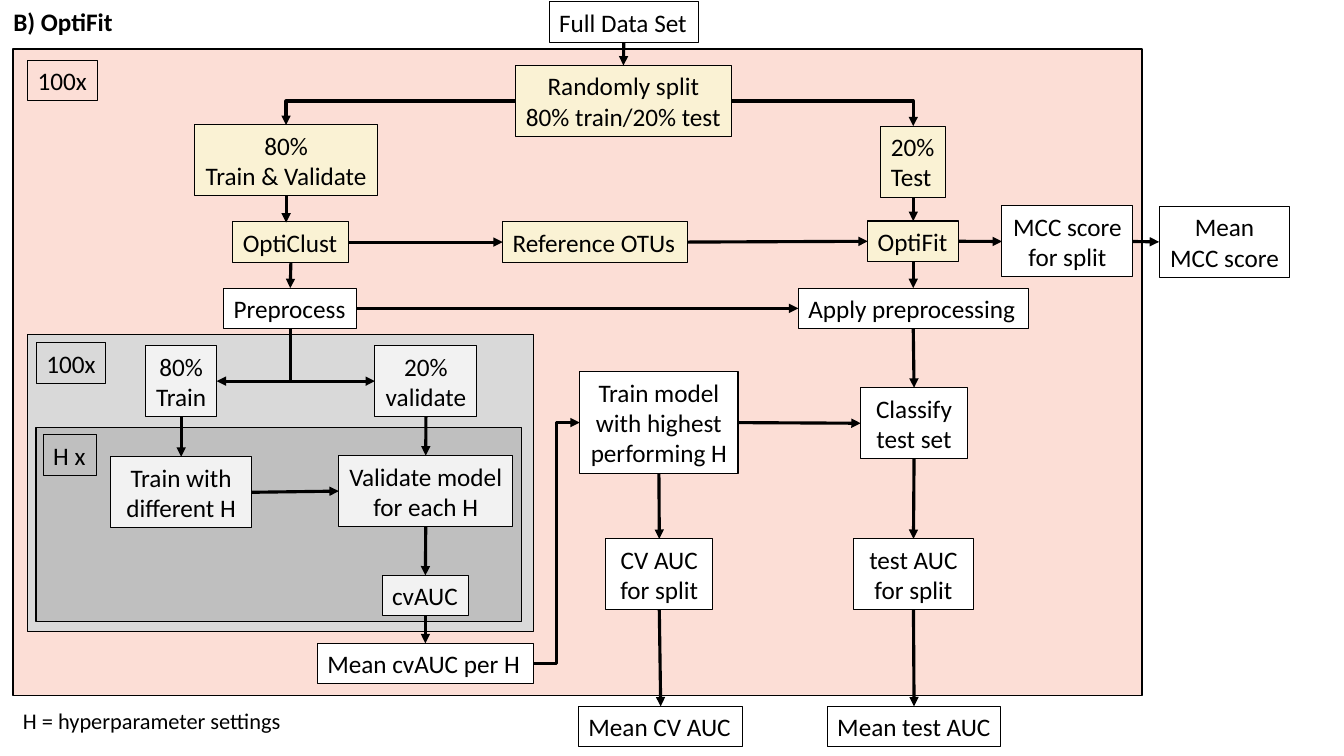
from lxml.etree import SubElement
from pptx import Presentation
from pptx.dml.color import RGBColor
from pptx.enum.shapes import MSO_CONNECTOR as Connector, MSO_SHAPE as Shape
from pptx.enum.text import MSO_ANCHOR as Anchor, MSO_AUTO_SIZE as AutoSize, PP_ALIGN as Align
from pptx.oxml.ns import qn
from pptx.util import Cm, Pt

TOP, LEFT, BOTTOM, RIGHT = range(4)
WHITE, CREAM, PALE = "FFFFFF", "FAF2D4", "F2F2F2"


def color(hex_code):
    return RGBColor.from_string(hex_code)


class FlowChart:
    font_name = "Calibri"
    ink = "000000"
    line_height = 0.77
    padding = 0.25

    def __init__(self, page):
        self.page = page

    def fill_text(self, shape, text, size=18, bold=False, align=Align.LEFT, wrap=False):
        frame = shape.text_frame
        frame.text = text
        frame.word_wrap = wrap
        frame.auto_size = AutoSize.SHAPE_TO_FIT_TEXT
        for para in frame.paragraphs:
            para.alignment = align
            para.font.name = self.font_name
            para.font.size = Pt(size)
            para.font.bold = bold
            para.font.color.rgb = color(self.ink)

    def title(self, text, left, top, width, height):
        title = self.page.shapes.title
        title.left, title.top = Cm(left), Cm(top)
        title.width, title.height = Cm(width), Cm(height)
        self.fill_text(title, text, bold=True)
        title.text_frame.vertical_anchor = Anchor.TOP

    def note(self, text, left, top, width, height):
        note = self.page.shapes.add_textbox(Cm(left), Cm(top), Cm(width), Cm(height))
        self.fill_text(note, text, size=16)

    def panel(self, left, top, width, height, fill, opacity=None, border=1):
        panel = self.page.shapes.add_shape(
            Shape.RECTANGLE, Cm(left), Cm(top), Cm(width), Cm(height))
        panel.shadow.inherit = False
        panel.line.color.rgb = color(self.ink)
        panel.line.width = Pt(border)
        if fill is None:
            panel.fill.background()
        else:
            panel.fill.solid()
            panel.fill.fore_color.rgb = color(fill)
        if opacity is not None:
            tint = panel.element.spPr.find(qn("a:solidFill"))[0]
            SubElement(tint, qn("a:alpha"), val=str(opacity * 1000))
        return panel

    def box(self, text, left, top, width, fill=WHITE, wrapped_lines=0, align=None):
        """Add a box as tall as its text; wrapped_lines is the row count of flowing text."""
        lines = wrapped_lines or text.count("\n") + 1
        height = self.padding + self.line_height * lines
        box = self.panel(left, top, width, height, fill, border=0.75)
        if align is None:
            align = Align.CENTER if lines > 1 else Align.LEFT
        self.fill_text(box, text, align=align, wrap=wrapped_lines > 0)
        return box

    def arrow(self, start, start_side, end, end_side,
              kind=Connector.STRAIGHT, preset=None, head="a:tailEnd"):
        """Join two boxes by their sides; end may be a point, with end_side None."""
        arrow = self.page.shapes.add_connector(kind, 0, 0, 0, 0)
        arrow.begin_connect(start, start_side)
        if end_side is None:
            arrow.end_x, arrow.end_y = (Cm(value) for value in end)
        else:
            arrow.end_connect(end, end_side)
        arrow.line.color.rgb = color(self.ink)
        arrow.line.width = Pt(2.25)
        outline = arrow.element.spPr
        SubElement(outline.find(qn("a:ln")), qn(head), type="triangle")
        SubElement(outline, qn("a:effectLst"))
        if preset:
            outline.find(qn("a:prstGeom")).set("prst", preset)

    def corner(self, start, start_side, end, end_side, head="a:tailEnd"):
        """Join two boxes with one turn, leaving the first one sideways."""
        self.arrow(start, start_side, end, end_side, Connector.ELBOW, "bentConnector2", head)

    def chain(self, boxes, leave, enter):
        for start, end in zip(boxes, boxes[1:]):
            self.arrow(start, leave, end, enter)


def build(chart):
    chart.title("B) OptiFit", 0.08, 0.03, 3.05, 1.02)
    chart.note("H = hyperparameter settings", 0.33, 17.7, 7.11, 0.94)
    chart.panel(0.33, 1.24, 28.45, 16.28, "FBC0AF", opacity=51)
    chart.panel(0.69, 8.43, 12.75, 7.49, "D9D9D9")
    chart.panel(0.91, 10.77, 12.24, 4.9, "BFBFBF")
    for label, left, top, width in (("100x", 0.7, 1.52, 1.75),
                                    ("100x", 0.92, 8.64, 1.75),
                                    ("H x", 1.09, 10.96, 1.35)):
        chart.box(label, left, top, width, fill=None)

    full_data = chart.box("Full Data Set", 13.84, 0.05, 3.76)
    split = chart.box("Randomly split\n80% train/20% test", 12.98, 1.65, 5.46, CREAM)
    train_part = chart.box("80%\nTrain & Validate", 4.9, 3.15, 4.62, CREAM)
    test_part = chart.box("20%\nTest", 22.2, 3.18, 1.63, CREAM, align=Align.LEFT)
    opticlust = chart.box("OptiClust", 5.87, 5.59, 2.92, CREAM)
    reference = chart.box("Reference OTUs", 12.67, 5.59, 4.65, CREAM)
    optifit = chart.box("OptiFit", 21.87, 5.57, 2.29, CREAM)
    split_mcc = chart.box("MCC score for split", 25.25, 5.19, 3.3, wrapped_lines=2)
    mean_mcc = chart.box("Mean MCC score", 29.21, 5.2, 3.3, wrapped_lines=2)
    preprocess = chart.box("Preprocess", 5.64, 7.26, 3.35)
    apply_step = chart.box("Apply preprocessing", 20.12, 7.26, 5.79)

    inner_train = chart.box("80%\nTrain", 3.67, 8.71, 1.79, PALE)
    inner_validate = chart.box("20%\nvalidate", 9.45, 8.71, 2.57, PALE)
    train_each = chart.box("Train with different H", 2.79, 11.51, 3.55, PALE, wrapped_lines=2)
    validate_each = chart.box("Validate model for each H", 8.54, 11.48, 4.38, PALE,
                              wrapped_lines=2)
    cv_auc = chart.box("cvAUC", 9.63, 14.5, 2.18, PALE)
    mean_per_h = chart.box("Mean cvAUC per H", 8, 16.21, 5.44)

    best_model = chart.box("Train model with highest performing H", 14.61, 9.37, 3.99,
                           wrapped_lines=3)
    classify = chart.box("Classify test set", 21.69, 9.77, 2.69, wrapped_lines=2)
    split_cv = chart.box("CV AUC for split", 15.27, 13.58, 2.69, wrapped_lines=2)
    split_test = chart.box("test AUC for split", 21.51, 13.58, 3.02, wrapped_lines=2)
    mean_cv = chart.box("Mean CV AUC", 14.58, 17.8, 4.14)
    mean_test = chart.box("Mean test AUC", 20.85, 17.8, 4.37)

    for column in ((full_data, split),
                   (opticlust, preprocess),
                   (test_part, optifit, apply_step, classify, split_test, mean_test),
                   (inner_train, train_each),
                   (inner_validate, validate_each, cv_auc, mean_per_h),
                   (best_model, split_cv, mean_cv)):
        chart.chain(column, BOTTOM, TOP)
    for row in ((opticlust, reference, optifit, split_mcc, mean_mcc),
                (preprocess, apply_step),
                (train_each, validate_each),
                (best_model, classify)):
        chart.chain(row, RIGHT, LEFT)
    chart.arrow(train_part, BOTTOM, (7.21, 5.61), None)

    chart.corner(split, LEFT, train_part, TOP)
    chart.corner(split, RIGHT, test_part, TOP)
    chart.corner(inner_train, RIGHT, preprocess, BOTTOM, head="a:headEnd")
    chart.corner(inner_validate, LEFT, preprocess, BOTTOM, head="a:headEnd")
    chart.arrow(mean_per_h, RIGHT, best_model, LEFT, Connector.ELBOW)


def main():
    deck = Presentation()
    deck.slide_width, deck.slide_height = Cm(33.87), Cm(19.05)
    title_only = deck.slide_layouts[5]
    build(FlowChart(deck.slides.add_slide(title_only)))
    deck.save("out.pptx")


if __name__ == "__main__":
    main()
